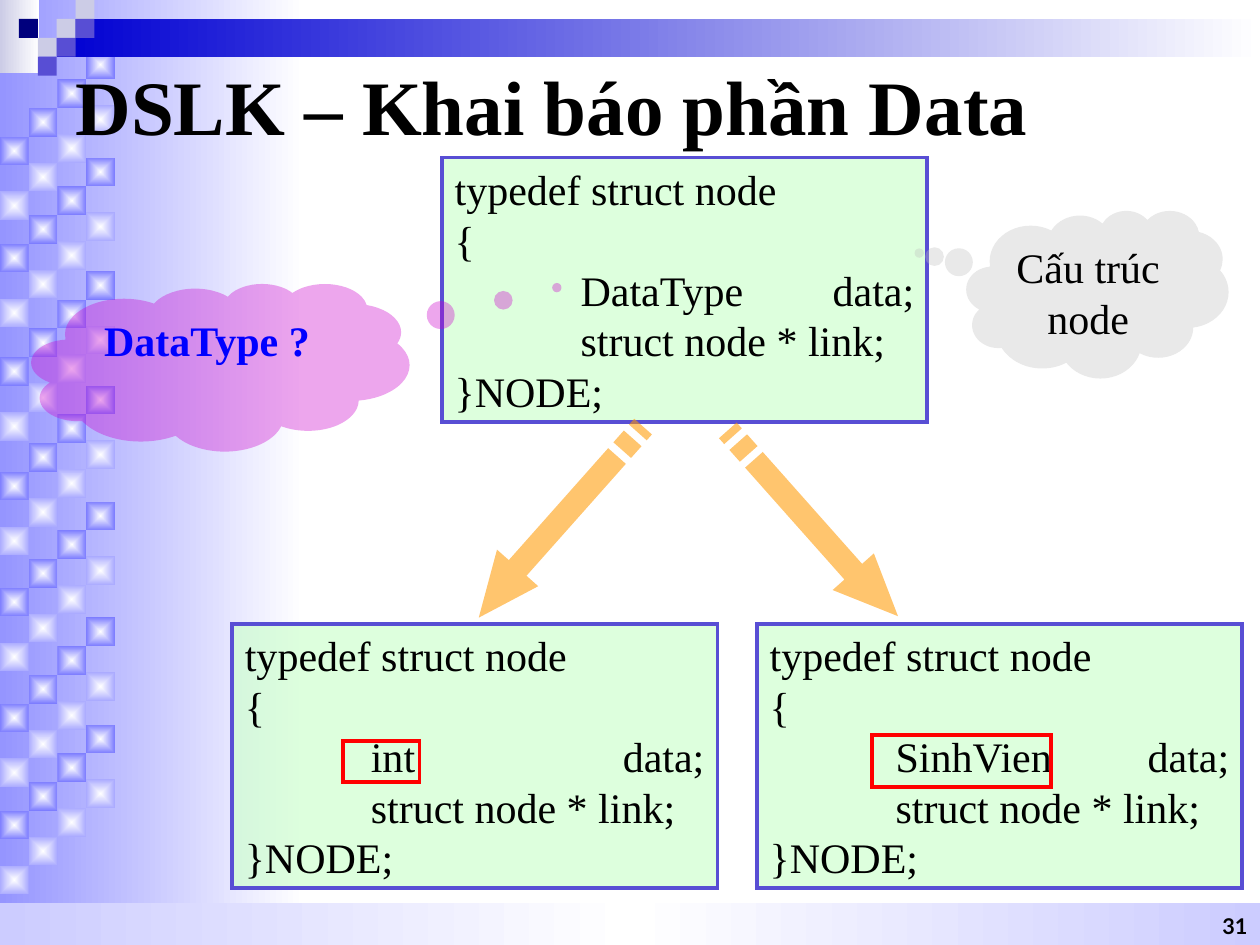
from lxml import etree
from pptx import Presentation
from pptx.dml.color import RGBColor as RGB
from pptx.enum.shapes import MSO_SHAPE as SH
from pptx.enum.text import MSO_ANCHOR as ANCHOR, MSO_AUTO_SIZE as AUTO, PP_ALIGN as AL
from pptx.oxml.ns import qn
from pptx.util import Inches, Pt

THEME = dict(
    font="Times New Roman", number_font="Lato",
    title=44, body=24, number=12.4, line=2.25,
    text="000000", question="0000FF", white="FFFFFF",
    side="9595FF", dark="7D7DFF", light="ABABFF", foot="CCCCFF",
    bar="0000D2", pale="CCCCE6", violet="584ED4", navy="00007D",
    code="CCFFCC", arrow="FF9900", mark="FF0000", gray="C0C0C0", pink="CC00CC",
)
T = THEME

prs = Presentation()
prs.slide_width, prs.slide_height = Inches(10), Inches(7.5)
W, H = prs.slide_width / 100, prs.slide_height / 100  # one percent of the slide
s = prs.slides.add_slide(prs.slide_layouts[5])


def add(kind, x, y, w, h, fill=None, alpha=100, line=None, centred=False):
    """Add a shape placed in percent of the slide; a list of colours is a gradient."""
    sp = s.shapes.add_shape(kind, int(x * W), int(y * H), int(w * W), int(h * H))
    sp.shadow.inherit = False
    if fill is None:
        sp.fill.background()
    elif isinstance(fill, list):
        sp.fill.gradient()
        grad = sp.element.spPr.find(qn("a:gradFill"))
        for child in list(grad):
            grad.remove(child)
        stops = etree.SubElement(grad, qn("a:gsLst"))
        for i, colour in enumerate(fill):
            gs = etree.SubElement(stops, qn("a:gs"), pos=str(i * 100000 // (len(fill) - 1)))
            etree.SubElement(gs, qn("a:srgbClr"), val=colour)
        if centred:
            path = etree.SubElement(grad, qn("a:path"), path="rect")
            etree.SubElement(path, qn("a:fillToRect"), l="50000", t="50000", r="50000", b="50000")
        else:
            etree.SubElement(grad, qn("a:lin"), ang="0", scaled="1")
    else:
        sp.fill.solid()
        sp.fill.fore_color.rgb = RGB.from_string(fill)
        if alpha < 100:
            clr = sp.element.spPr.find(qn("a:solidFill"))[0]
            etree.SubElement(clr, qn("a:alpha"), val=str(alpha * 1000))
    if line:
        sp.line.color.rgb = RGB.from_string(line)
        sp.line.width = Pt(T["line"])
        etree.SubElement(sp.element.spPr.find(qn("a:ln")), qn("a:miter"), lim="800000")
    else:
        sp.line.fill.background()
    return sp


def write(sp, lines, size, colour=T["text"], bold=False, font=T["font"],
          align=AL.LEFT, anchor=ANCHOR.TOP, wrap=True):
    """Write one paragraph per line and return the text frame."""
    tf = sp.text_frame
    tf.word_wrap = wrap
    tf.vertical_anchor = anchor
    for i, text in enumerate(lines):
        p = tf.add_paragraph() if i else tf.paragraphs[0]
        p.alignment = align
        r = p.add_run()
        r.text = text
        r.font.name, r.font.size, r.font.bold = font, Pt(size), bold
        r.font.color.rgb = RGB.from_string(colour)
    return tf


# Left band with its diagonals of squares
add(SH.RECTANGLE, 0, 0, 24.2, 100, [T["side"], T["white"]])
STEP_X, STEP_Y = 2.28, 3.04
for top in (5.33, 16.67, 28.67, 40.8, 53.07, 65.33, 76.67):
    for colour, drop in ((T["dark"], 0), (T["light"], 5.8)):
        for col in range(4):
            add(SH.RECTANGLE, col * STEP_X, top + drop + (3 - col) * STEP_Y,
                STEP_X, STEP_Y, [T["white"], colour], centred=True)

# Footer, corner and header bars
add(SH.RECTANGLE, 0, 95.6, 100, 4.4, [T["foot"], T["white"], T["foot"]])
add(SH.RECTANGLE, 0, 0, 3.1, 7.73, [T["pale"], T["white"]])
add(SH.RECTANGLE, 4.5, 2, 95.5, 4, [T["bar"], T["white"]])

# Corner mosaic on a grid of small cells
for col, row, colour in ((3, 1, "pale"), (4, 0, "pale"), (4, 1, "violet"), (2, 2, "pale"),
                         (1, 1, "navy"), (3, 2, "violet"), (2, 3, "violet")):
    add(SH.RECTANGLE, col * 1.5, row * 2, 1.5, 2, T[colour])

# Slide number
sp = s.shapes.add_textbox(int(76.7 * W), int(95.6 * H), int(23.3 * W), int(4.4 * H))
tf = write(sp, ["31"], T["number"], bold=True, font=T["number_font"],
           align=AL.RIGHT, anchor=ANCHOR.BOTTOM)
tf.paragraphs[0].line_spacing = 0.8

# Title, brought in front of the decoration
title = s.shapes.title
title.left, title.top = int(5 * W), int(1.07 * H)
title.width, title.height = int(90 * W), int(20 * H)
write(title, ["DSLK – Khai báo phần Data"], T["title"], bold=True, anchor=ANCHOR.MIDDLE)
title.element.getparent().append(title.element)

# Struct declarations: the generic one above, two concrete ones below
for x, y, field in ((35.1, 16.67, "\tDataType \tdata;"),
                    (18.45, 66, "\tint \t\tdata;"),
                    (60.1, 66, "\tSinhVien\tdata;")):
    sp = add(SH.RECTANGLE, x, y, 38.5, 28, T["code"], 66, T["violet"])
    tf = write(sp, ["typedef struct node", "{", field, "\tstruct node * link;", "}NODE;"],
               T["body"], wrap=False)
    tf.auto_size = AUTO.SHAPE_TO_FIT_TEXT
    for p in tf.paragraphs:  # a tab stop every inch
        tabs = etree.SubElement(p._p.get_or_add_pPr(), qn("a:tabLst"))
        for inch in range(8):
            etree.SubElement(tabs, qn("a:tab"), pos=str(Inches(inch)), algn="l")

# Striped arrows, drawn in 1/32 of their length and then turned
UNIT = 20 * W / 32
THICK = 6.72
UP, MID, LOW = THICK / 4, THICK / 2, THICK * 3 / 4
for x, y, angle in ((34.4, 52.2, 131.6), (54.4, 52.6, 48.4)):
    fb = s.shapes.build_freeform(5, UP, scale=UNIT)
    fb.add_line_segments([(24, UP), (24, 0), (32, MID), (24, THICK), (24, LOW), (5, LOW)])
    for start, end in ((2, 4), (0, 1)):
        fb.move_to(start, UP)
        fb.add_line_segments([(end, UP), (end, LOW), (start, LOW)])
    sp = fb.convert_to_shape(int(x * W), int(y * H))
    sp.rotation = angle
    sp.shadow.inherit = False
    sp.line.fill.background()
    sp.fill.solid()
    sp.fill.fore_color.rgb = RGB.from_string(T["arrow"])
    etree.SubElement(sp.element.spPr.find(qn("a:solidFill"))[0], qn("a:alpha"), val="57000")

# Frames around the concrete types
add(SH.RECTANGLE, 27.2, 78.4, 6.1, 4.4, line=T["mark"])
add(SH.RECTANGLE, 69.2, 77.73, 14.2, 5.6, line=T["mark"])

# Thought clouds
for x, y, w, tail, fill, text, colour, bold in (
        (76.7, 22.27, 20.8, (-0.68, -0.245), "gray", "Cấu trúc node", "text", False),
        (2.5, 30, 30, (0.89, -0.475), "pink", "DataType ?", "question", True)):
    sp = add(SH.CLOUD_CALLOUT, x, y, w, 17.73, T[fill], 35)
    sp.adjustments[0], sp.adjustments[1] = tail
    write(sp, [text], T["body"], T[colour], bold, align=AL.CENTER)

prs.save("out.pptx")
